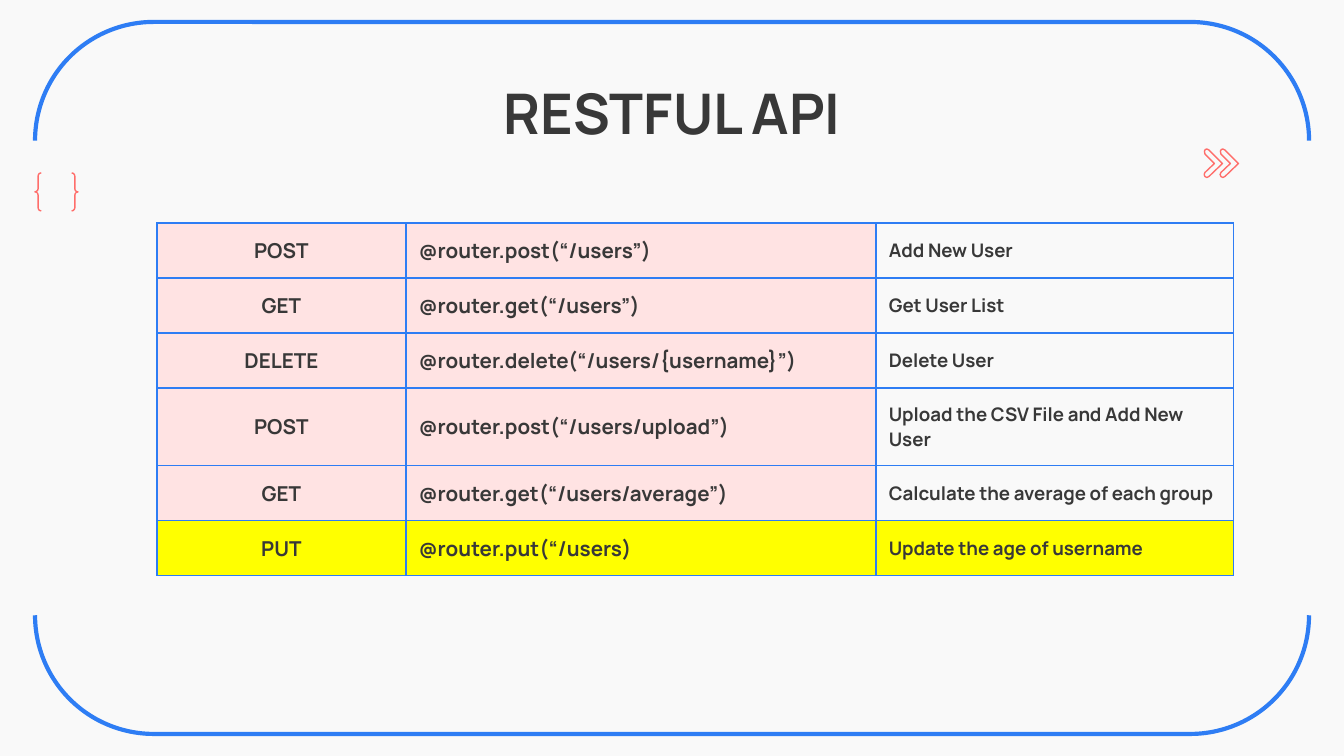
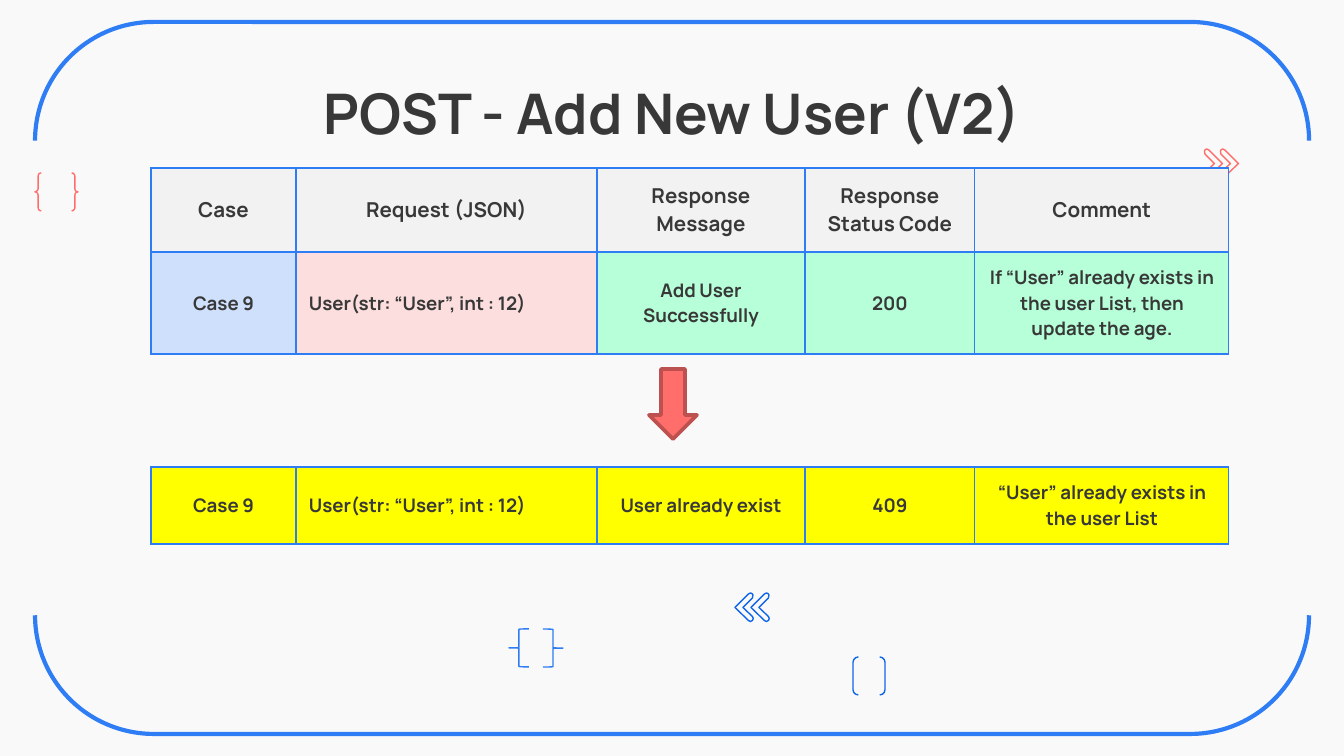
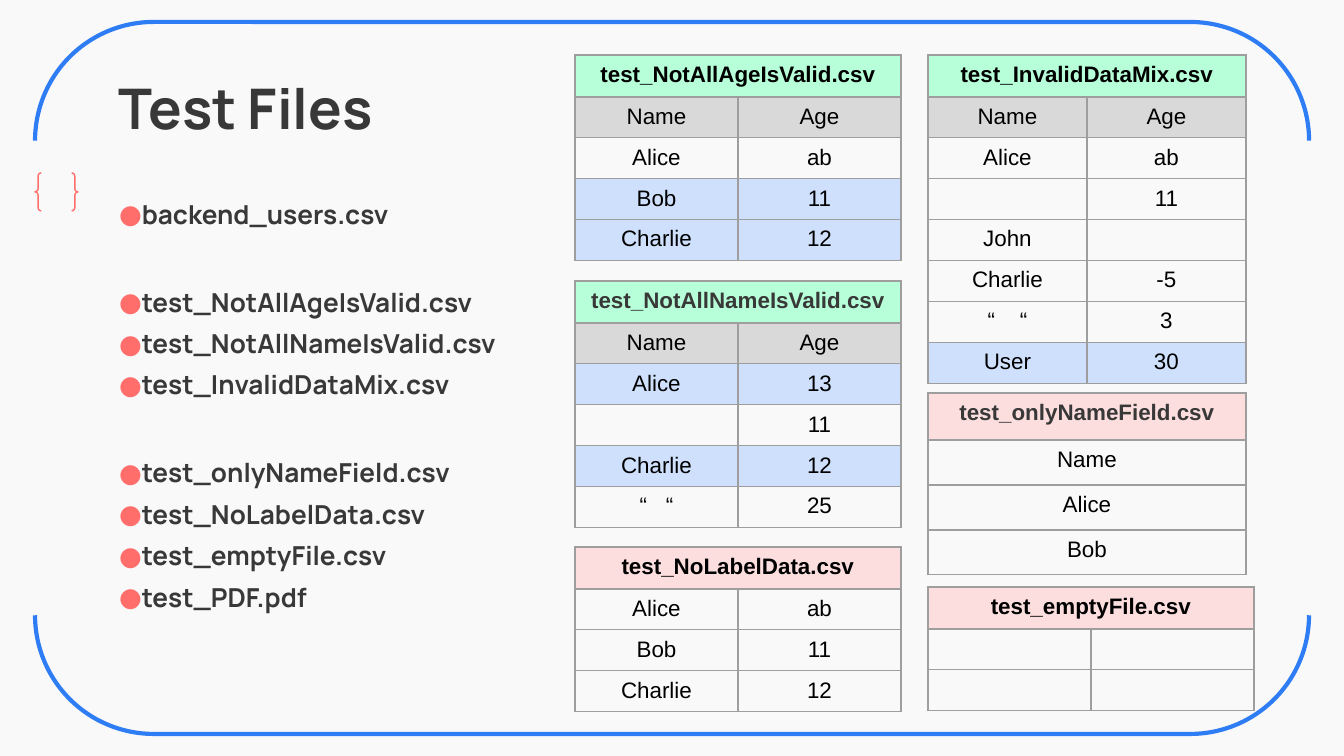
from dataclasses import dataclass

from lxml import etree
from pptx import Presentation
from pptx.dml.color import RGBColor
from pptx.enum.shapes import MSO_SHAPE
from pptx.enum.text import MSO_ANCHOR, PP_ALIGN
from pptx.oxml.ns import qn
from pptx.util import Emu, Pt

PX = 914400 / 134.4
COLORS = {
    "paper": "F9F9F9",
    "ink": "383838",
    "black": "000000",
    "blue": "2E7DF4",
    "deep_blue": "0E66EB",
    "coral": "FF6E6B",
    "brick": "BD514F",
    "blush": "FFE3E3",
    "pink": "FBDEDD",
    "mint": "B7FFD8",
    "sky": "CEE0FC",
    "yellow": "FFFF00",
    "light_gray": "F2F2F2",
    "gray": "D9D9D9",
    "border_gray": "9E9E9E",
}
HEADING_FONT = "Manrope"
DATA_FONT = "Arial"
LEFT = PP_ALIGN.LEFT
CENTER = PP_ALIGN.CENTER
TOP = MSO_ANCHOR.TOP
MIDDLE = MSO_ANCHOR.MIDDLE
BRACKET_PAIR = MSO_SHAPE.DOUBLE_BRACKET
BRACE_PAIR = MSO_SHAPE.DOUBLE_BRACE
LEFT_BRACE = MSO_SHAPE.LEFT_BRACE
DOWN_ARROW = MSO_SHAPE.DOWN_ARROW

INSET = 13
CHEVRON_WIDTH = 185
CHEVRON_STEP = 16
CHEVRON_POINTS = [
    (30, 0), (15, 5), (5, 20), (10, 50), (105, 145), (10, 235),
    (2, 255), (10, 275), (30, 285), (50, 275), (185, 145), (50, 10),
]


@dataclass
class Box:
    left: int
    top: int
    width: int
    height: int


@dataclass
class Outline:
    kind: int
    box: Box
    color: str
    weight: float = 0.75
    rotation: int = 0
    fill: str = ""
    adjustment: float | None = None


@dataclass
class Cell:
    text: str
    fill: str = ""
    size: int = 10
    align: int = CENTER
    font: str = HEADING_FONT
    color: str = "ink"
    bold: bool = True


@dataclass
class Grid:
    left: int
    top: int
    widths: list[int]
    heights: list[int]
    rows: list[list[Cell]]
    border: str = "blue"
    inset: int = INSET
    anchor: int = MIDDLE
    merged_title: bool = False


@dataclass
class CsvFile:
    name: str
    left: int
    top: int
    column_width: int
    records: list[tuple[str, ...]]
    title_fill: str
    title_color: str = "black"
    valid_rows: tuple[int, ...] = ()
    labelled: bool = False
    title_height: int = 42
    row_height: int = 39


FRAME = Outline(BRACKET_PAIR, Box(316, -259, 712, 1274), "blue", 2.25, 90)
SIDE_BRACES = Outline(BRACE_PAIR, Box(35, 173, 43, 38), "coral")

ROUTES = [
    ("POST", "@router.post(“/users”)", "Add New User"),
    ("GET", "@router.get(“/users”)", "Get User List"),
    ("DELETE", "@router.delete(“/users/{username}”)", "Delete User"),
    ("POST", "@router.post(“/users/upload”)", "Upload the CSV File and Add New User"),
    ("GET", "@router.get(“/users/average”)", "Calculate the average of each group"),
    ("PUT", "@router.put(“/users)", "Update the age of username"),
]

CASE_HEADERS = ["Case", "Request (JSON)", "Response Message", "Response Status Code", "Comment"]
CASE_WIDTHS = [145, 301, 208, 170, 254]
CASE_FILLS = ["sky", "pink", "mint", "mint", "mint"]
REQUEST = "User(str: “User”, int : 12)"
OLD_CASE = [
    "Case 9", REQUEST, "Add User Successfully", "200",
    "If “User” already exists in the user List, then update the age.",
]
NEW_CASE = ["Case 9", REQUEST, "User already exist", "409", "“User” already exists in the user List"]

FILE_GROUPS = [
    ["backend_users.csv"],
    ["test_NotAllAgeIsValid.csv", "test_NotAllNameIsValid.csv", "test_InvalidDataMix.csv"],
    ["test_onlyNameField.csv", "test_NoLabelData.csv", "test_emptyFile.csv", "test_PDF.pdf"],
]

CSV_FILES = [
    CsvFile("test_InvalidDataMix.csv", 928, 55, 159,
            [("Name", "Age"), ("Alice", "ab"), ("", "11"), ("John", ""),
             ("Charlie", "-5"), ("“    “", "3"), ("User", "30")],
            "mint", valid_rows=(6,), labelled=True),
    CsvFile("test_NotAllAgeIsValid.csv", 575, 55, 163,
            [("Name", "Age"), ("Alice", "ab"), ("Bob", "11"), ("Charlie", "12")],
            "mint", valid_rows=(2, 3), labelled=True),
    CsvFile("test_NotAllNameIsValid.csv", 575, 281, 163,
            [("Name", "Age"), ("Alice", "13"), ("", "11"), ("Charlie", "12"), ("“   “", "25")],
            "mint", "ink", valid_rows=(1, 3), labelled=True),
    CsvFile("test_onlyNameField.csv", 928, 393, 318,
            [("Name",), ("Alice",), ("Bob",)],
            "pink", "ink", title_height=47, row_height=45),
    CsvFile("test_NoLabelData.csv", 575, 547, 163,
            [("Alice", "ab"), ("Bob", "11"), ("Charlie", "12")], "pink"),
    CsvFile("test_emptyFile.csv", 928, 587, 163, [("", ""), ("", "")], "pink"),
]


def px(length: float) -> Emu:
    return Emu(round(length * PX))


def rgb(name: str) -> RGBColor:
    return RGBColor.from_string(COLORS[name])


def format_runs(paragraph, font: str, size: int, color: str, bold: bool) -> None:
    for run in paragraph.runs:
        run.font.name = font
        run.font.size = Pt(size)
        run.font.bold = bold
        run.font.color.rgb = rgb(color)


def style_shape(shape, fill: str, line: str, weight: float) -> None:
    shape.shadow.inherit = False
    if fill:
        shape.fill.solid()
        shape.fill.fore_color.rgb = rgb(fill)
    else:
        shape.fill.background()
    shape.line.color.rgb = rgb(line)
    shape.line.width = Pt(weight)


def add_outline(slide, outline: Outline) -> None:
    box = outline.box
    shape = slide.shapes.add_shape(
        outline.kind, px(box.left), px(box.top), px(box.width), px(box.height)
    )
    shape.rotation = outline.rotation
    if outline.adjustment is not None:
        shape.adjustments[0] = outline.adjustment
    style_shape(shape, outline.fill, outline.color, outline.weight)


def add_chevrons(slide, lefts: list[int], top: int, color: str, mirrored: bool) -> None:
    group = slide.shapes.add_group_shape()
    points = [(CHEVRON_WIDTH - x if mirrored else x, y) for x, y in CHEVRON_POINTS]
    for left in lefts:
        builder = group.shapes.build_freeform(*points[0], scale=PX / 10)
        builder.add_line_segments(points[1:], close=True)
        style_shape(builder.convert_to_shape(px(left), px(top)), "paper", color, 0.75)


def add_text_frame(slide, box: Box):
    shape = slide.shapes.add_textbox(px(box.left), px(box.top), px(box.width), px(box.height))
    text_frame = shape.text_frame
    text_frame.word_wrap = True
    text_frame.margin_left = text_frame.margin_right = px(INSET)
    text_frame.margin_top = text_frame.margin_bottom = px(INSET)
    return text_frame


def add_title(slide, text: str, box: Box, align: int) -> None:
    text_frame = add_text_frame(slide, box)
    text_frame.text = text
    paragraph = text_frame.paragraphs[0]
    paragraph.alignment = align
    format_runs(paragraph, HEADING_FONT, 30, "ink", True)


def add_bullet(paragraph) -> None:
    properties = paragraph._p.get_or_add_pPr()
    properties.set("marL", "0")
    properties.set("indent", "0")
    bullet_color = etree.SubElement(properties, qn("a:buClr"))
    etree.SubElement(bullet_color, qn("a:srgbClr"), val=COLORS["coral"])
    etree.SubElement(properties, qn("a:buFont"), typeface=HEADING_FONT)
    etree.SubElement(properties, qn("a:buChar"), char="●")


def add_file_list(slide, box: Box) -> None:
    text_frame = add_text_frame(slide, box)
    text_frame.text = "\n".join(name for group in FILE_GROUPS for name in group)
    group_starts = {group[0] for group in FILE_GROUPS[1:]}
    for paragraph in text_frame.paragraphs:
        paragraph.line_spacing = 1.32
        if paragraph.text in group_starts:
            paragraph.space_before = Pt(25)
        add_bullet(paragraph)
        format_runs(paragraph, HEADING_FONT, 14, "ink", True)


def add_borders(cell, color: str) -> None:
    properties = cell._tc.get_or_add_tcPr()
    for side in ("lnL", "lnR", "lnT", "lnB"):
        line = etree.SubElement(properties, qn(f"a:{side}"), w=str(Pt(0.75)))
        fill = etree.SubElement(line, qn("a:solidFill"))
        etree.SubElement(fill, qn("a:srgbClr"), val=COLORS[color])


def fill_cell(cell, content: Cell, grid: Grid) -> None:
    add_borders(cell, grid.border)
    if content.fill:
        cell.fill.solid()
        cell.fill.fore_color.rgb = rgb(content.fill)
    else:
        cell.fill.background()
    cell.margin_left = cell.margin_right = px(INSET)
    cell.margin_top = cell.margin_bottom = px(grid.inset)
    cell.vertical_anchor = grid.anchor
    cell.text_frame.text = content.text
    paragraph = cell.text_frame.paragraphs[0]
    paragraph.alignment = content.align
    format_runs(paragraph, content.font, content.size, content.color, content.bold)
    if not content.text:
        etree.SubElement(paragraph._p, qn("a:endParaRPr"), sz=str(content.size * 100))


def add_grid(slide, grid: Grid) -> None:
    frame = slide.shapes.add_table(
        len(grid.heights), len(grid.widths), px(grid.left), px(grid.top),
        px(sum(grid.widths)), px(sum(grid.heights)),
    )
    table = frame.table
    table.first_row = False
    table.horz_banding = False
    for column, width in zip(table.columns, grid.widths):
        column.width = px(width)
    for row, height, contents in zip(table.rows, grid.heights, grid.rows):
        row.height = px(height)
        for cell, content in zip(row.cells, contents):
            fill_cell(cell, content, grid)
    if grid.merged_title:
        table.cell(0, 0).merge(table.cell(0, len(grid.widths) - 1))


def route_row(method: str, route: str, purpose: str) -> list[Cell]:
    changed = method == "PUT"
    code_fill = "yellow" if changed else "blush"
    return [
        Cell(method, code_fill, 11),
        Cell(route, code_fill, 11, LEFT),
        Cell(purpose, "yellow" if changed else "paper", 10, LEFT),
    ]


def case_row(texts: list[str], fills: list[str]) -> list[Cell]:
    return [
        Cell(text, fill, align=LEFT if text == REQUEST else CENTER)
        for text, fill in zip(texts, fills)
    ]


def csv_grid(file: CsvFile) -> Grid:
    column_count = len(file.records[0])
    titles = [file.name] + [""] * (column_count - 1)
    rows = [[Cell(text, file.title_fill, 12, CENTER, DATA_FONT, file.title_color) for text in titles]]
    for index, record in enumerate(file.records):
        fill = "sky" if index in file.valid_rows else ""
        if file.labelled and index == 0:
            fill = "gray"
        rows.append([Cell(text, fill, 12, CENTER, DATA_FONT, "black", False) for text in record])
    heights = [file.title_height] + [file.row_height] * len(file.records)
    return Grid(
        file.left, file.top, [file.column_width] * column_count, heights, rows,
        "border_gray", 7, TOP, column_count > 1,
    )


def add_base_slide(presentation, title: str, title_box: Box, align: int):
    slide = presentation.slides.add_slide(presentation.slide_layouts[6])
    slide.background.fill.solid()
    slide.background.fill.fore_color.rgb = rgb("paper")
    for outline in (FRAME, SIDE_BRACES):
        add_outline(slide, outline)
    add_title(slide, title, title_box, align)
    return slide


def add_table_slide(presentation, title: str):
    slide = add_base_slide(presentation, title, Box(106, 66, 1133, 85), CENTER)
    add_chevrons(slide, [1204 + CHEVRON_STEP, 1204], 149, "coral", False)
    return slide


def build_api_slide(presentation) -> None:
    slide = add_table_slide(presentation, "RESTFUL API")
    rows = [route_row(*route) for route in ROUTES]
    add_grid(slide, Grid(157, 223, [249, 470, 358], [55, 55, 55, 78, 55, 55], rows))


def build_case_slide(presentation) -> None:
    slide = add_table_slide(presentation, "POST - Add New User (V2)")
    add_outline(slide, Outline(BRACKET_PAIR, Box(853, 657, 32, 38), "deep_blue"))
    for left, rotation in ((509, 0), (543, 180)):
        add_outline(slide, Outline(
            LEFT_BRACE, Box(left, 629, 20, 38), "blue", rotation=rotation, adjustment=0.02
        ))
    add_chevrons(slide, [735, 735 + CHEVRON_STEP], 593, "deep_blue", True)
    header = [Cell(text, "light_gray", 11) for text in CASE_HEADERS]
    add_grid(slide, Grid(151, 467, CASE_WIDTHS, [77], [case_row(NEW_CASE, ["yellow"] * 5)]))
    add_grid(slide, Grid(151, 168, CASE_WIDTHS, [84, 102], [header, case_row(OLD_CASE, CASE_FILLS)]))
    add_outline(slide, Outline(DOWN_ARROW, Box(649, 369, 48, 70), "brick", 2, fill="coral"))


def build_files_slide(presentation) -> None:
    slide = add_base_slide(presentation, "Test Files", Box(106, 61, 316, 85), LEFT)
    add_file_list(slide, Box(106, 175, 442, 516))
    for file in CSV_FILES:
        add_grid(slide, csv_grid(file))


def main() -> None:
    presentation = Presentation()
    presentation.slide_width = px(1344)
    presentation.slide_height = px(756)
    build_api_slide(presentation)
    build_case_slide(presentation)
    build_files_slide(presentation)
    presentation.save("out.pptx")


if __name__ == "__main__":
    main()
